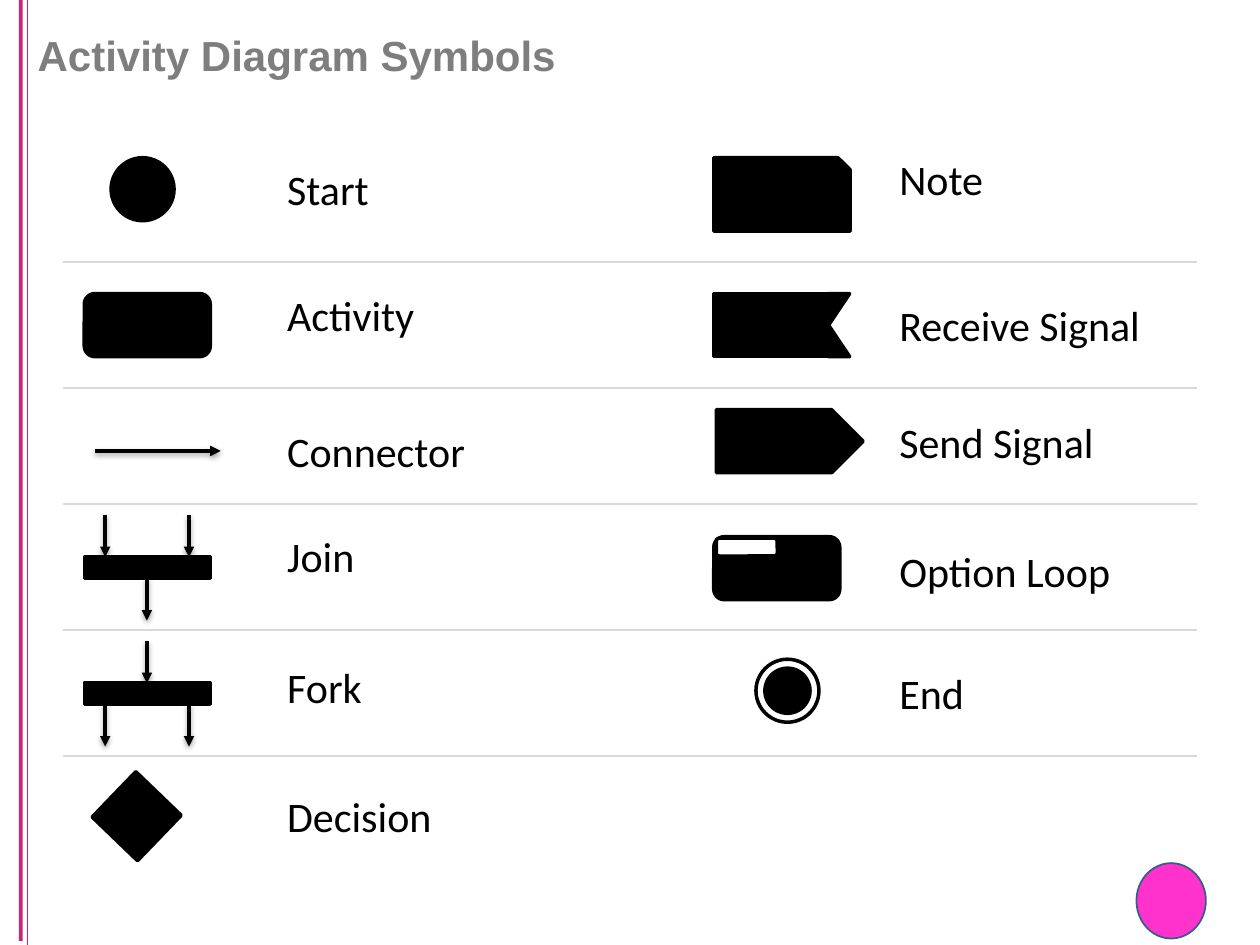
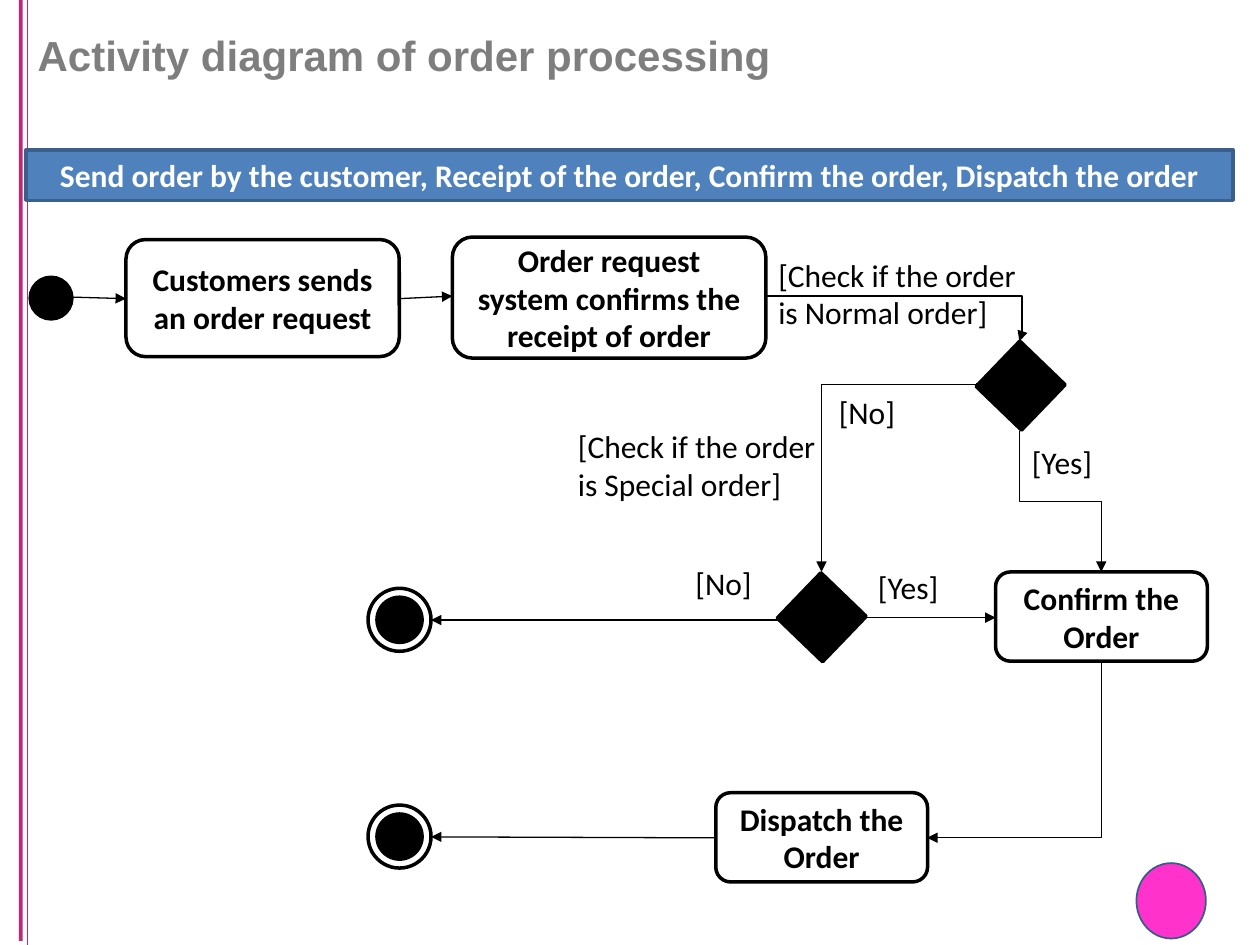
import lxml.etree
import pptx
import pptx.dml.color
import pptx.enum.shapes
import pptx.enum.text
import pptx.oxml.ns
import pptx.util

Cm = pptx.util.Cm
SHAPES = pptx.enum.shapes.MSO_SHAPE
CONNECTORS = pptx.enum.shapes.MSO_CONNECTOR
ALIGN = pptx.enum.text.PP_ALIGN
ANCHOR = pptx.enum.text.MSO_ANCHOR


def color(hex_string):
    return pptx.dml.color.RGBColor.from_string(hex_string)


def add_xml(parent, tag, **attributes):
    return lxml.etree.SubElement(parent, pptx.oxml.ns.qn(tag), attributes)


def write_text(shape, text, *, size=18, font="Calibri", ink="000000", bold=False,
               align=ALIGN.LEFT, anchor=ANCHOR.TOP, wrap=True, margins=True):
    frame = shape.text_frame
    frame.word_wrap = wrap
    frame.vertical_anchor = anchor
    if not margins:
        frame.margin_left = frame.margin_right = frame.margin_top = frame.margin_bottom = 0
    frame.text = text
    for paragraph in frame.paragraphs:
        paragraph.alignment = align
        for run in paragraph.runs:
            run.font.size = pptx.util.Pt(size)
            run.font.name = font
            run.font.bold = bold
            run.font.color.rgb = color(ink)


class DiagramDeck:
    """Holds the shared style and the slide being drawn; positions are in cm."""

    black, white = "000000", "FFFFFF"
    pink, magenta, badge_edge = "FF33CC", "C22674", "375C89"
    title_gray, rule_gray = "7E7E7E", "D9D9D9"
    banner_fill, banner_edge = "4F81BD", "3A5F8C"
    node = 1.27  # side of start, end and decision nodes

    def __init__(self):
        self.presentation = pptx.Presentation()
        self.presentation.slide_width = Cm(25.4)
        self.presentation.slide_height = Cm(19.05)
        self.slide = None

    def new_slide(self, title):
        self.slide = self.presentation.slides.add_slide(self.presentation.slide_layouts[6])
        self.shape(SHAPES.OVAL, 22.91, 17.4, 1.4, 1.52, self.pink, self.badge_edge, 1)
        self.line((0.56, 0), (0.56, 19.05), self.magenta)
        self.shape(SHAPES.RECTANGLE, 0.38, 0, 0.08, 18.97, self.magenta, None)
        self.label(title, 0.76, 0.53, 23.9, 1.09, size=24, font="Arial", bold=True,
                   ink=self.title_gray, anchor=ANCHOR.BOTTOM, wrap=True, margins=False)

    def shape(self, kind, left, top, width, height, fill=black, edge=black, weight=2):
        shape = self.slide.shapes.add_shape(kind, Cm(left), Cm(top), Cm(width), Cm(height))
        shape.shadow.inherit = False
        shape.fill.solid()
        shape.fill.fore_color.rgb = color(fill)
        if edge is None:
            shape.line.fill.background()
        else:
            shape.line.color.rgb = color(edge)
            shape.line.width = pptx.util.Pt(weight)
        return shape

    def label(self, text, left, top, width, height, **text_format):
        box = self.slide.shapes.add_textbox(Cm(left), Cm(top), Cm(width), Cm(height))
        write_text(box, text, **{"wrap": False, **text_format})

    def activity(self, text, left, top, width, height):
        box = self.shape(SHAPES.ROUNDED_RECTANGLE, left, top, width, height, self.white)
        write_text(box, text, bold=True, align=ALIGN.CENTER, anchor=ANCHOR.MIDDLE)

    def banner(self, text, left, top, width, height):
        box = self.shape(SHAPES.RECTANGLE, left, top, width, height,
                         self.banner_fill, self.banner_edge)
        write_text(box, text, bold=True, ink=self.white, align=ALIGN.CENTER)

    def start(self, left, top, size=node):
        self.shape(SHAPES.OVAL, left, top, size, size)

    def end(self, left, top):
        inset = 0.18
        core = self.node - 2 * inset
        self.shape(SHAPES.OVAL, left, top, self.node, self.node, self.white)
        self.shape(SHAPES.OVAL, left + inset, top + inset, core, core)

    def decision(self, left, top):
        self.shape(SHAPES.RECTANGLE, left, top, self.node, self.node).rotation = 43.9

    def line(self, start, end, ink=black, weight=0.75, kind=CONNECTORS.STRAIGHT,
             arrow=False, shadow=False):
        connector = self.slide.shapes.add_connector(kind, *map(Cm, start + end))
        connector.line.color.rgb = color(ink)
        connector.line.width = pptx.util.Pt(weight)
        if arrow:
            add_xml(connector.line._get_or_add_ln(), "a:tailEnd", type="triangle")
        effects = add_xml(connector._element.spPr, "a:effectLst")
        if shadow:
            outer = add_xml(effects, "a:outerShdw", blurRad="40000", dist="20000",
                            dir="5400000", rotWithShape="0")
            ink_element = add_xml(outer, "a:srgbClr", val=self.black)
            add_xml(ink_element, "a:alpha", val="38000")
        return connector

    def arrow(self, start, end):
        self.line(start, end, arrow=True)

    def symbol_arrow(self, start, end):
        self.line(start, end, weight=2, arrow=True, shadow=True)

    def elbow(self, start, end, down_first=False, bend=0.5, corner=False):
        if down_first:
            # Lay the path out sideways around its centre, then turn it a quarter
            middle_x, middle_y = (start[0] + end[0]) / 2, (start[1] + end[1]) / 2
            half_x, half_y = (end[0] - start[0]) / 2, (end[1] - start[1]) / 2
            start = (middle_x - half_y, middle_y + half_x)
            end = (middle_x + half_y, middle_y - half_x)
        connector = self.line(start, end, kind=CONNECTORS.ELBOW, arrow=True)
        properties = connector._element.spPr
        if down_first:
            properties.find(pptx.oxml.ns.qn("a:xfrm")).set("rot", "5400000")
        geometry = properties.find(pptx.oxml.ns.qn("a:prstGeom"))
        if corner:
            geometry.set("prst", "bentConnector2")
        elif bend != 0.5:
            guides = geometry.find(pptx.oxml.ns.qn("a:avLst"))
            add_xml(guides, "a:gd", name="adj1", fmla=f"val {round(bend * 100000)}")

    def sync_bar(self, top, arrows_in, arrows_out):
        height, reach = 0.43, 0.85
        self.shape(SHAPES.RECTANGLE, 1.7, top, 2.54, height)
        for x in arrows_in:
            self.symbol_arrow((x, top - reach), (x, top))
        for x in arrows_out:
            self.symbol_arrow((x, top + height), (x, top + height + reach))


def build_symbols_slide(deck):
    deck.new_slide("Activity Diagram Symbols")

    # Left column of symbols
    deck.start(2.24, 3.18)
    deck.shape(SHAPES.ROUNDED_RECTANGLE, 1.7, 5.92, 2.54, 1.27)
    deck.symbol_arrow((1.91, 9.09), (4.45, 9.09))
    sides, center = (2.12, 3.81), (2.96,)
    deck.sync_bar(11.23, sides, center)
    deck.sync_bar(13.77, center, sides)
    deck.decision(2.12, 15.82)

    # Right column of symbols
    deck.shape(SHAPES.SNIP_1_RECTANGLE, 14.39, 3.18, 2.75, 1.48)
    deck.shape(SHAPES.PENTAGON, 14.44, 8.26, 2.96, 1.27)
    deck.shape(SHAPES.RECTANGLE, 14.38, 5.92, 2.33, 1.27)
    notch = deck.shape(SHAPES.CHEVRON, 16.28, 5.92, 0.85, 1.27)
    notch._element.spPr.find(pptx.oxml.ns.qn("a:xfrm")).set("flipH", "1")
    deck.shape(SHAPES.ROUNDED_RECTANGLE, 14.39, 10.82, 2.54, 1.27)
    deck.shape(SHAPES.ROUNDED_RECTANGLE, 14.44, 10.85, 1.23, 0.36, deck.white)
    deck.end(15.24, 13.29)

    # Names: text, top, width for each column
    columns = {
        5.54: [("Start", 3.18, 2.18), ("Activity", 5.72, 3.1), ("Connector", 8.46, 4.14),
               ("Join", 10.57, 1.88), ("Fork", 13.21, 2.03), ("Decision", 15.82, 3.45)],
        17.88: [("Note", 2.97, 2.21), ("Receive Signal", 5.92, 5.41),
                ("Send Signal", 8.28, 4.47), ("Option Loop", 10.87, 4.8),
                ("End", 13.34, 1.83)],
    }
    for left, names in columns.items():
        for name, top, width in names:
            deck.label(name, left, top, width, 1.27, size=24)

    # Row separators
    for y in (5.28, 7.82, 10.16, 12.7, 15.24):
        deck.line((1.27, y), (24.13, y), deck.rule_gray)


def build_order_slide(deck):
    deck.new_slide("Activity diagram of order processing")
    deck.banner("Send order by the customer, Receipt of the order, Confirm the order, "
                "Dispatch the order", 0.53, 3.02, 24.33, 1.02)

    # Nodes
    deck.start(0.61, 5.59, 0.84)
    deck.activity("Customers sends an order request", 2.54, 4.83, 5.51, 2.36)
    deck.activity("Order request system confirms the receipt of order", 9.12, 4.78, 6.32, 2.44)
    deck.decision(19.94, 7.14)
    deck.decision(15.93, 11.81)
    deck.activity("Confirm the Order", 20.07, 11.53, 4.27, 1.8)
    deck.activity("Dispatch the Order", 14.43, 15.98, 4.27, 1.8)
    deck.end(7.42, 16.23)
    deck.end(7.42, 11.86)

    # Flows
    deck.arrow((1.47, 5.99), (2.54, 6.02))
    deck.arrow((8.05, 6.02), (9.12, 5.97))
    deck.elbow((15.44, 5.97), (20.55, 6.88), bend=1.01)
    deck.elbow((20.55, 8.69), (22.2, 11.53), down_first=True)
    deck.elbow((19.69, 7.72), (16.56, 11.53), down_first=True, bend=0.01)
    deck.arrow((17.45, 12.45), (20.07, 12.45))
    deck.arrow((15.67, 12.5), (8.69, 12.5))
    deck.elbow((22.2, 13.34), (18.69, 16.89), down_first=True, corner=True)
    deck.arrow((14.43, 16.89), (8.69, 16.87))

    # Conditions
    for kind, left, top in (("Normal", 15.44, 5.03), ("Special", 11.4, 8.48)):
        deck.label(f"[Check if the order\nis {kind} order]", left, top, 5.51, 1.8)
    for left, top in ((17.45, 11.33), (20.55, 8.81)):
        deck.label("[Yes]", left, top, 1.75, 1.02)
    for left, top in ((16.66, 7.8), (13.77, 11.25)):
        deck.label("[No]", left, top, 1.65, 1.02)


def main():
    deck = DiagramDeck()
    build_symbols_slide(deck)
    build_order_slide(deck)
    deck.presentation.save("out.pptx")


if __name__ == "__main__":
    main()
